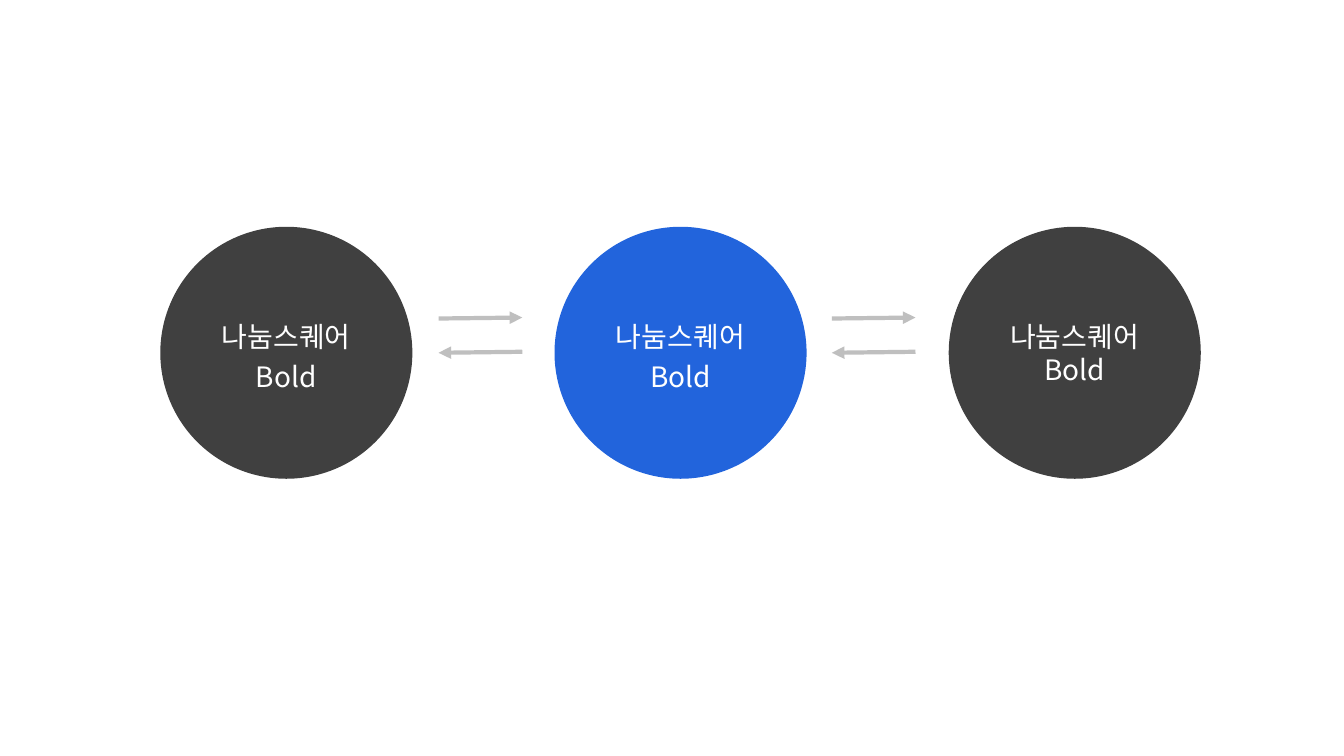
from lxml import etree
from pptx import Presentation
from pptx.dml.color import RGBColor
from pptx.enum import shapes, text
from pptx.oxml import ns
from pptx.util import Inches, Pt

FONT = "Noto Sans CJK KR"
CIRCLE_LEFT, CIRCLE_TOP, DIAMETER, CIRCLE_STEP = 1.59, 2.25, 2.5, 3.91
CIRCLES = [("404040", 1.2), ("2264DC", 1.2), ("404040", None)]
ARROW_LEFT, ARROW_LENGTH, ARROW_STEP = 4.35, 0.83, 3.9


def color(value):
    """Turn a hex string into a colour."""
    return RGBColor.from_string(value)


def add_circle(slide, left, fill, line_spacing):
    """Add a filled circle with its centred label."""
    circle = slide.shapes.add_shape(
        shapes.MSO_SHAPE.OVAL, Inches(left), Inches(CIRCLE_TOP),
        Inches(DIAMETER), Inches(DIAMETER))
    circle.shadow.inherit = False
    circle.fill.solid()
    circle.fill.fore_color.rgb = color(fill)
    circle.line.fill.background()
    frame = circle.text_frame
    frame.word_wrap = True
    frame.vertical_anchor = text.MSO_ANCHOR.MIDDLE
    paragraph = frame.paragraphs[0]
    paragraph.alignment = text.PP_ALIGN.CENTER
    paragraph.line_spacing = line_spacing
    run = paragraph.add_run()
    run.text = "나눔스퀘어 Bold"
    run.font.size = Pt(20)
    run.font.name = FONT
    run.font.color.rgb = color("FFFFFF")
    east_asian = etree.SubElement(run.font._element, ns.qn("a:ea"))
    east_asian.set("typeface", FONT)


def add_arrow(slide, start, end):
    """Add a grey arrow pointing from start to end."""
    arrow = slide.shapes.add_connector(
        shapes.MSO_CONNECTOR.STRAIGHT,
        *(Inches(length) for length in (*start, *end)))
    arrow.line.color.rgb = color("BFBFBF")
    arrow.line.width = Pt(3)
    head = etree.SubElement(arrow.line._get_or_add_ln(), ns.qn("a:tailEnd"))
    head.set("type", "triangle")
    etree.SubElement(arrow._element.spPr, ns.qn("a:effectLst"))


def add_arrow_pair(slide, left):
    """Add the forward and return arrows between two circles."""
    right = left + ARROW_LENGTH
    add_arrow(slide, (left, 3.16), (right, 3.15))
    add_arrow(slide, (right, 3.49), (left, 3.5))


def main():
    """Build the slide and save it."""
    presentation = Presentation()
    presentation.slide_width = Inches(13.33)
    presentation.slide_height = Inches(7.5)
    slide = presentation.slides.add_slide(presentation.slide_layouts[6])
    for index, (fill, line_spacing) in enumerate(CIRCLES):
        add_circle(slide, CIRCLE_LEFT + index * CIRCLE_STEP, fill, line_spacing)
    for index in range(len(CIRCLES) - 1):
        add_arrow_pair(slide, ARROW_LEFT + index * ARROW_STEP)
    presentation.save("out.pptx")


if __name__ == "__main__":
    main()
